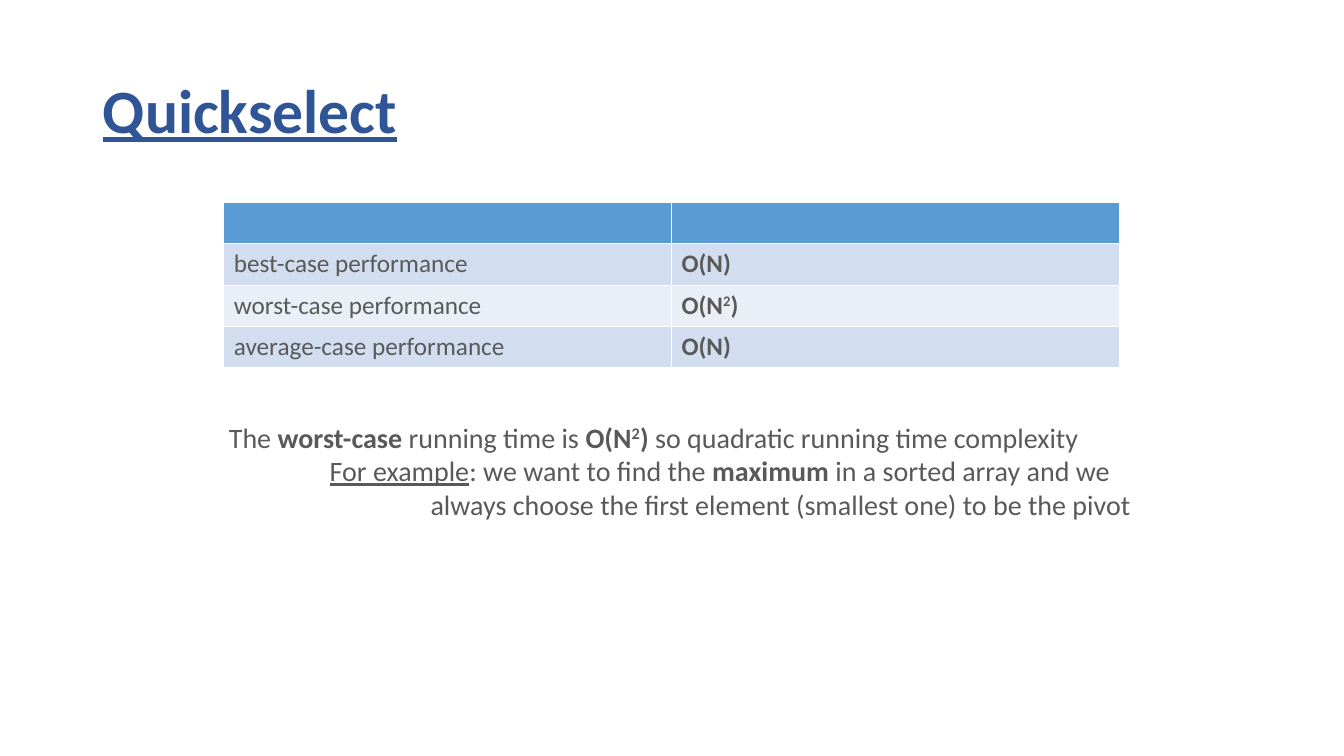
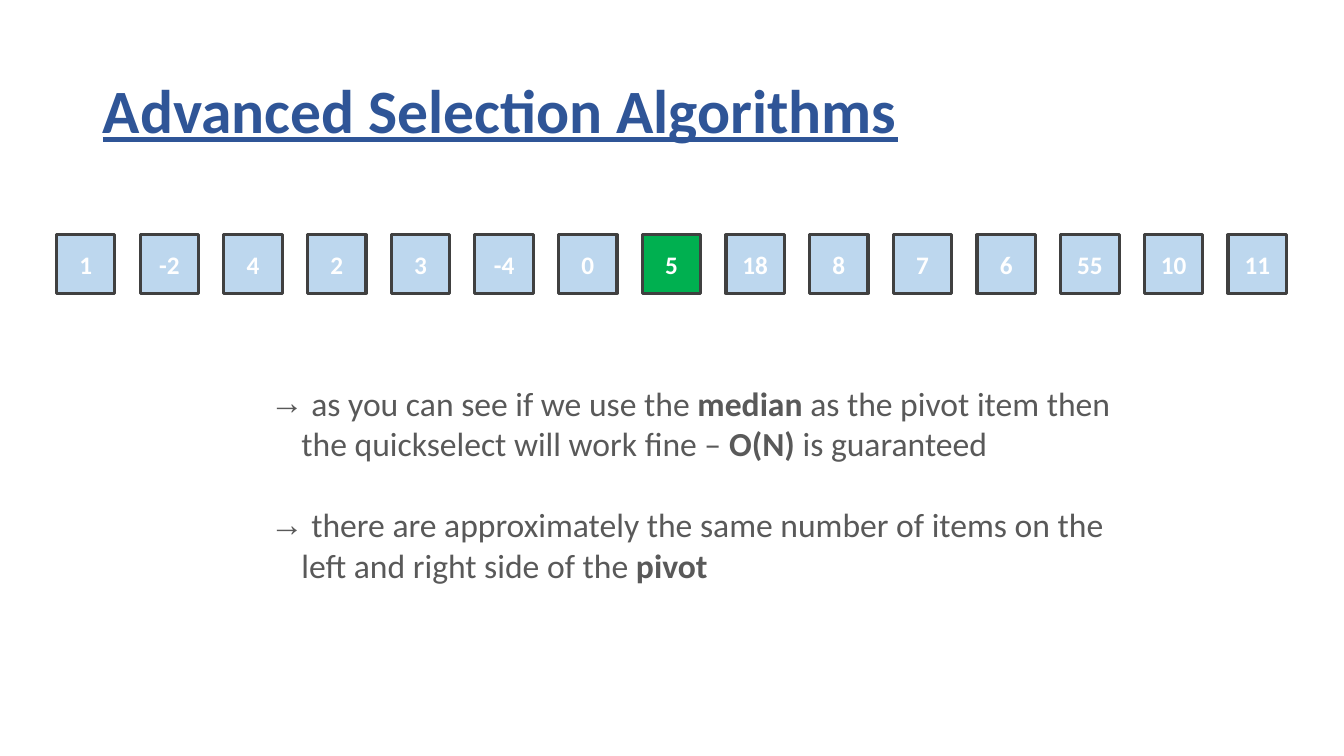
from lxml import etree
from pptx import Presentation
from pptx.dml.color import RGBColor
from pptx.enum.shapes import MSO_SHAPE
from pptx.enum.text import MSO_ANCHOR, MSO_AUTO_SIZE, PP_ALIGN
from pptx.oxml.ns import qn
from pptx.util import Pt

PX = 9144  # 100 px to the inch
RECT = MSO_SHAPE.RECTANGLE
MIDDLE, TOP = MSO_ANCHOR.MIDDLE, MSO_ANCHOR.TOP
LEFT, CENTER = PP_ALIGN.LEFT, PP_ALIGN.CENTER
FIXED = MSO_AUTO_SIZE.NONE
FONT = "Calibri"
HEX = {
    "title": "2F5597", "text": "595959", "white": "FFFFFF",
    "head": "5B9BD5", "odd": "D2DEEF", "even": "EAEFF7",
    "item": "BDD7EE", "pivot": "00B050", "edge": "404040",
}
RGB = {name: RGBColor.from_string(code) for name, code in HEX.items()}

deck = Presentation()
deck.slide_width, deck.slide_height = 1333 * PX, 750 * PX


def write(para, parts, size, color="text", bold=None):
    """Fill a paragraph with (text, style) runs: b bold, u underline, s superscript."""
    para.font.name, para.font.size = FONT, Pt(size)
    para.font.color.rgb = RGB[color]
    para.font.bold = bold
    for text, style in parts:
        run = para.add_run()
        run.text = text
        if "b" in style:
            run.font.bold = True
        if "u" in style:
            run.font.underline = True
        if "s" in style:
            run._r.get_or_add_rPr().set("baseline", "30000")


def start(title, box, size, gap, lines):
    """Add a slide with a title and a list of (left, hang, bullet, parts) lines."""
    slide = deck.slides.add_slide(deck.slide_layouts[1])
    head, body = slide.placeholders
    for shape, place, anchor in ((head, (92, 40, 1150, 145), MIDDLE), (body, box, TOP)):
        shape.left, shape.top, shape.width, shape.height = [n * PX for n in place]
        frame = shape.text_frame
        frame.word_wrap, frame.auto_size = True, FIXED
        frame.vertical_anchor = anchor

    para = head.text_frame.paragraphs[0]
    para.alignment, para.line_spacing = LEFT, 0.9
    write(para, [(title, "")], 44, "title", True)
    para.font.underline = True

    frame = body.text_frame
    for i, (left, hang, bullet, parts) in enumerate(lines):
        para = frame.add_paragraph() if i else frame.paragraphs[0]
        props = para._p.get_or_add_pPr()
        props.set("marL", str(left * PX))
        props.set("indent", str(-hang * PX))
        if bullet:
            etree.SubElement(props, qn("a:buChar")).set("char", bullet)
        else:
            etree.SubElement(props, qn("a:buNone"))
        para.line_spacing = 1.0
        para.space_before = Pt(gap if i else 0)
        write(para, parts, size)
    return slide


# Slide 1: running times
slide = start("Quickselect", (217, 412, 930, 111), 20, 0, [
    (0, 0, "", [("The ", ""), ("worst-case", "b"), (" running time is ", ""),
                ("O(N", "b"), ("2", "bs"), (")", "b"),
                (" so quadratic running time complexity", "")]),
    (100, 0, "", [("For example", "u"), (": we want to find the ", ""),
                  ("maximum", "b"), (" in a sorted array and we", "")]),
    (200, 0, "", [("always choose the first element (smallest one) to be the pivot", "")]),
])

# Performance table
rows = [
    ("head", "", []),
    ("odd", "best-case performance", [("O(N)", "b")]),
    ("even", "worst-case performance", [("O(N", "b"), ("2", "bs"), (")", "b")]),
    ("odd", "average-case performance", [("O(N)", "b")]),
]
area = [n * PX for n in (222, 201, 888, 41 * len(rows))]
table = slide.shapes.add_table(len(rows), 2, *area).table
for r, (fill, label, cost) in enumerate(rows):
    for c, parts in enumerate(([(label, "")] if label else [], cost)):
        cell = table.cell(r, c)
        cell.fill.solid()
        cell.fill.fore_color.rgb = RGB[fill]
        write(cell.text_frame.paragraphs[0], parts, 18)

# Slide 2: median as pivot
slide = start("Advanced Selection Algorithms", (258, 375, 874, 242), 24, 29, [
    (31, 31, "→", [(" as you can see if we use the ", ""), ("median", "b"),
                   (" as the pivot item then the quickselect will work fine – ", ""),
                   ("O(N) ", "b"), ("is guaranteed", "")]),
    (31, 31, "→", [(" there are approximately the same number of items on the "
                    "left and right side of the ", ""), ("pivot", "b")]),
])

# Array of items, the pivot in green
items = [1, -2, 4, 2, 3, -4, 0, 5, 18, 8, 7, 6, 55, 10, 11]
side, step = 58, 83
for i, item in enumerate(items):
    box = slide.shapes.add_shape(RECT, (56 + i * step) * PX, 233 * PX, side * PX, side * PX)
    box.shadow.inherit = False
    box.fill.solid()
    box.fill.fore_color.rgb = RGB["pivot" if item == 5 else "item"]
    box.line.color.rgb = RGB["edge"]
    box.line.width = Pt(2.25)
    box.text_frame.vertical_anchor = MIDDLE
    para = box.text_frame.paragraphs[0]
    para.alignment = CENTER
    write(para, [(str(item), "")], 18, "white", True)

deck.save("out.pptx")
